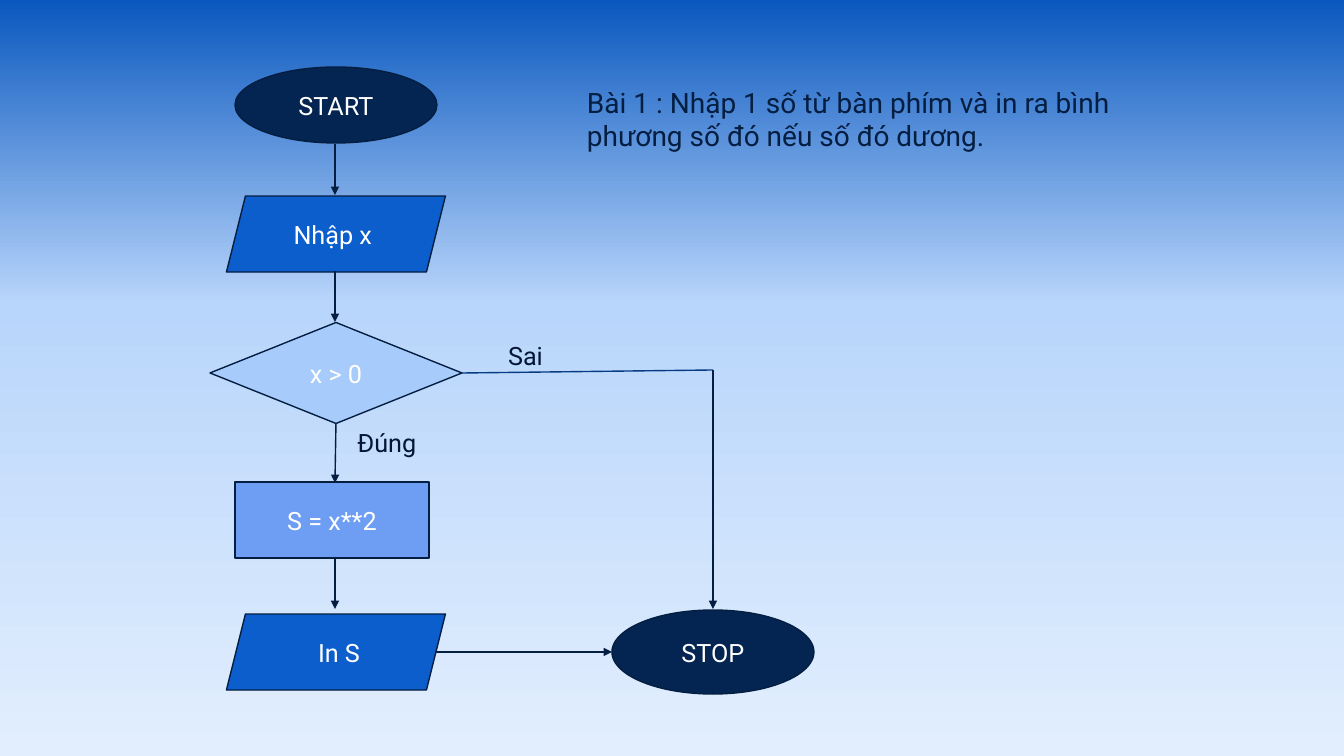
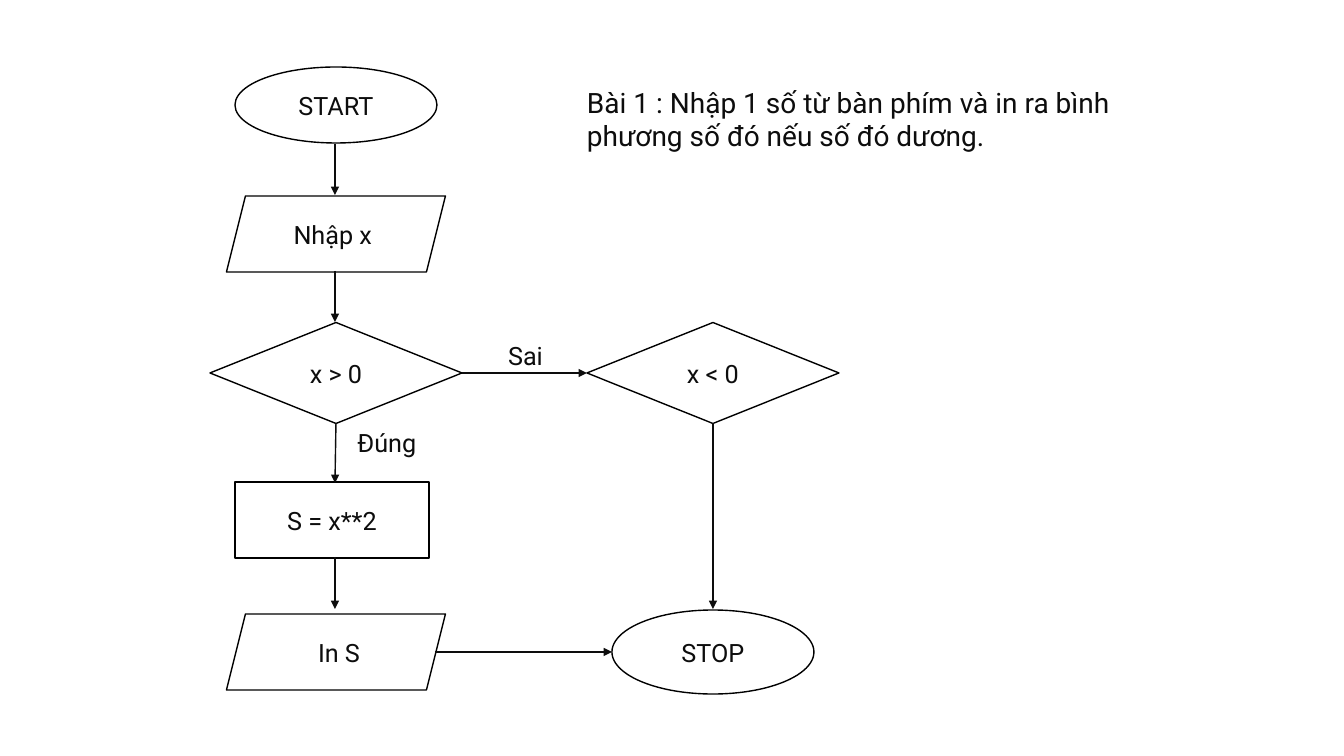
from copy import deepcopy

from lxml import etree
from pptx import Presentation
from pptx.dml.color import RGBColor
from pptx.enum.shapes import MSO_CONNECTOR, MSO_SHAPE
from pptx.enum.text import MSO_ANCHOR, PP_ALIGN
from pptx.oxml.ns import qn
from pptx.util import Emu, Pt

OVAL, DIAMOND = MSO_SHAPE.OVAL, MSO_SHAPE.DIAMOND
PARALLELOGRAM, RECTANGLE = MSO_SHAPE.PARALLELOGRAM, MSO_SHAPE.RECTANGLE
STRAIGHT = MSO_CONNECTOR.STRAIGHT
TOP, MIDDLE = MSO_ANCHOR.TOP, MSO_ANCHOR.MIDDLE
LEFT, CENTER = PP_ALIGN.LEFT, PP_ALIGN.CENTER

FONT = "Roboto"
TITLE = "Bài 1 : Nhập 1 số từ bàn phím và in ra bình phương số đó nếu số đó dương."
TITLE_BOX = (587, 85, 572, 68)
FLOW_ORIGIN = (210, 67)
MAIN_X, RIGHT_X = 126, 503
TEST_Y, END_Y = 306, 585

BLUE = {
    "fills": {"end": "042552", "io": "0B5ECC", "test": "A7CBFA", "step": "6E9EF3"},
    "outline": "041E41", "arrow": "041E41", "branch": "073C82",
    "title": "041E41", "node": "FFFFFF", "label": "041636",
}
PLAIN = {
    "fills": {},
    "outline": "000000", "arrow": "0D0D0D", "branch": "0D0D0D",
    "title": "0D0D0D", "node": "0D0D0D", "label": "0D0D0D",
}
BACKDROP = [(0, "E2EEFD"), (0.6, "B8D5FB"), (1, "0A58BF")]

NODES = [
    ("START", OVAL, "end", MAIN_X, 38, 202, 76),
    ("Nhập x ", PARALLELOGRAM, "io", MAIN_X, 167, 219, 76),
    ("x > 0", DIAMOND, "test", MAIN_X, TEST_Y, 252, 101),
    ("S = x**2", RECTANGLE, "step", 122, 453, 194, 76),
    (" In S", PARALLELOGRAM, "io", MAIN_X, END_Y, 219, 76),
    ("STOP", OVAL, "end", RIGHT_X, END_Y, 202, 84),
]
ARROWS = [
    (125, 77, 125, 128),
    (125, 204, 125, 255),
    (126, 356, 125, 416),
    (125, 490, 125, 542),
    (225, END_Y, 402, END_Y),
]
LABELS = [("Sai", 269, 273, 93, 30), ("Đúng ", 134, 360, 92, 30)]


def px(n):
    """Convert picture pixels to EMU."""
    return Emu(round(n * 914400 / 100.8))


def rgb(value):
    """Turn a hex string into a colour."""
    return RGBColor.from_string(value)


def write(sp, text, color, size=18, align=CENTER, anchor=MIDDLE, inset=None):
    """Set the text of a shape and its format."""
    tf = sp.text_frame
    tf.word_wrap = True
    tf.vertical_anchor = anchor
    if inset is not None:
        tf.margin_left = tf.margin_right = tf.margin_top = tf.margin_bottom = px(inset)
    p = tf.paragraphs[0]
    p.alignment = align
    r = p.add_run()
    r.text = text
    r.font.name = FONT
    r.font.size = Pt(size)
    r.font.color.rgb = rgb(color)


def add_node(s, text, kind, box, fill, theme):
    """Draw one flowchart symbol with its text."""
    sp = s.shapes.add_shape(kind, *map(px, box))
    sp.shadow.inherit = False
    if fill:
        sp.fill.solid()
        sp.fill.fore_color.rgb = rgb(fill)
    else:
        sp.fill.background()
    sp.line.color.rgb = rgb(theme["outline"])
    sp.line.width = Pt(1)
    write(sp, text, theme["node"])


def add_line(s, ends, color, arrow=True):
    """Draw a straight line, with an arrowhead unless told otherwise."""
    line = s.shapes.add_connector(STRAIGHT, *map(px, ends))
    line.line.color.rgb = rgb(color)
    line.line.width = Pt(1)
    props = line._element.spPr
    if arrow:
        etree.SubElement(props.find(qn("a:ln")), qn("a:tailEnd"), type="triangle")
    etree.SubElement(props, qn("a:effectLst"))


def add_title(s, box, theme):
    """Place and format the exercise statement."""
    sp = s.shapes.title
    sp.left, sp.top, sp.width, sp.height = map(px, box)
    write(sp, TITLE, theme["title"], size=20, align=LEFT, anchor=TOP, inset=0)


def add_flow(s, origin, theme, second_test):
    """Draw the flowchart from its top left corner."""
    x, y = origin

    def ends(x1, y1, x2, y2):
        """Shift the two ends of a line by the origin."""
        return x + x1, y + y1, x + x2, y + y2

    nodes, arrows = list(NODES), list(ARROWS)
    if second_test:
        nodes.append(("x < 0", DIAMOND, "test", RIGHT_X, TEST_Y, 252, 101))
        arrows += [(252, TEST_Y, 377, TEST_Y), (RIGHT_X, 356, RIGHT_X, 542)]
    else:
        arrows.append((RIGHT_X, 303, RIGHT_X, 542))
        add_line(s, ends(252, TEST_Y, RIGHT_X, 303), theme["branch"], arrow=False)
    for text, kind, role, cx, cy, w, h in nodes:
        box = (x + cx - w / 2, y + cy - h / 2, w, h)
        add_node(s, text, kind, box, theme["fills"].get(role), theme)
    for arrow in arrows:
        add_line(s, ends(*arrow), theme["arrow"])
    for text, left, top, w, h in LABELS:
        sp = s.shapes.add_textbox(px(x + left), px(y + top), px(w), px(h))
        write(sp, text, theme["label"], anchor=TOP, inset=0)


def paint_backdrop(s, stops):
    """Fill the slide background with a vertical three-stop gradient."""
    fill = s.background.fill
    fill.gradient()
    fill.gradient_angle = 90
    stop_list = s.element.find(".//" + qn("a:gsLst"))
    stop_list.insert(1, deepcopy(stop_list[0]))
    for stop, (position, color) in zip(fill.gradient_stops, stops):
        stop.position = position
        stop.color.rgb = rgb(color)


def add_flow_slide(prs, theme, second_test=False):
    """Add a slide with the exercise and its flowchart."""
    s = prs.slides.add_slide(prs.slide_layouts[5])
    add_title(s, TITLE_BOX, theme)
    add_flow(s, FLOW_ORIGIN, theme, second_test)
    return s


def main():
    """Build and save the two slides."""
    prs = Presentation()
    prs.slide_width, prs.slide_height = px(1344), px(756)
    paint_backdrop(add_flow_slide(prs, BLUE), BACKDROP)
    add_flow_slide(prs, PLAIN, second_test=True)
    prs.save("out.pptx")


main()
